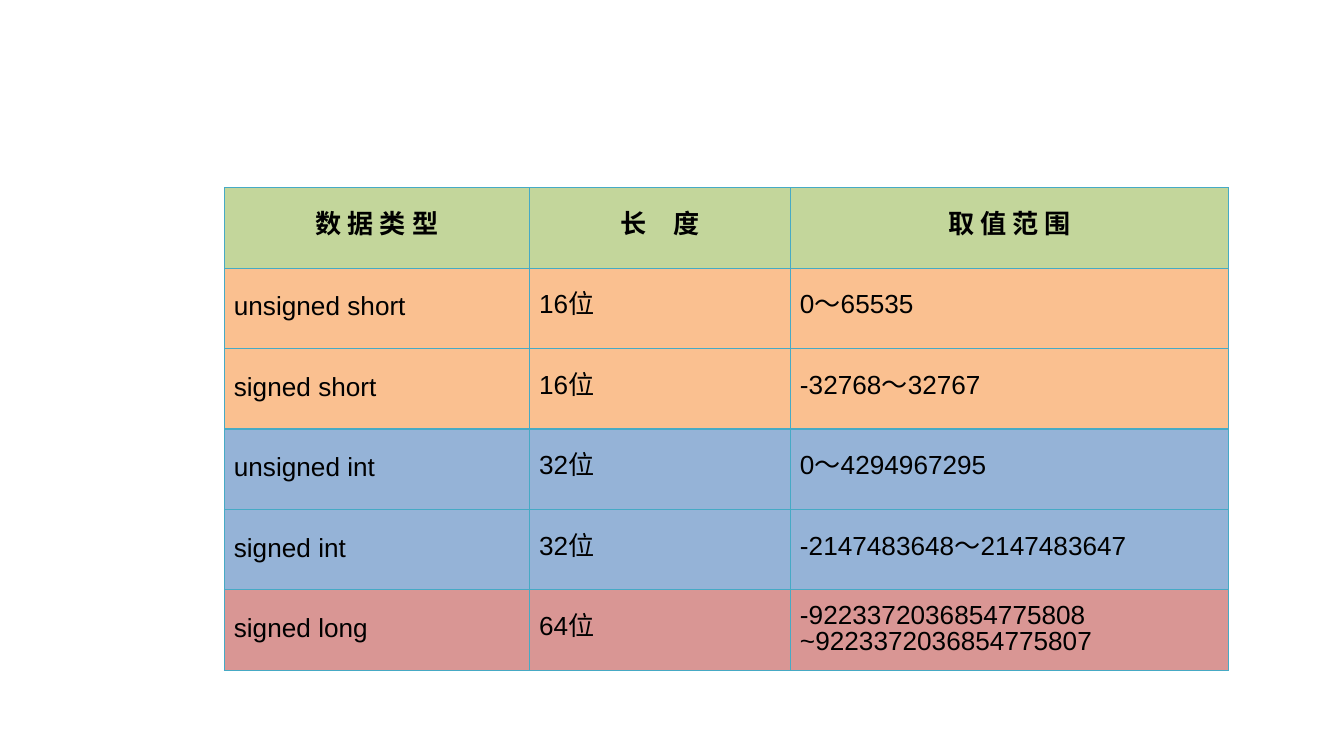
from dataclasses import dataclass

from lxml.etree import SubElement
from pptx import Presentation
from pptx.dml.color import RGBColor
from pptx.enum.text import MSO_ANCHOR, PP_ALIGN
from pptx.oxml.ns import qn
from pptx.util import Cm, Pt


@dataclass(frozen=True)
class Theme:
    """Colours, font and sizes of the slide."""
    font: str = "Arial"
    size: int = 14
    text: str = "000000"
    border: str = "46AAC5"
    border_width: float = 0.75
    header: str = "C3D69B"
    short: str = "FAC090"
    int: str = "95B3D7"
    long: str = "D99694"


THEME = Theme()
COL_WIDTHS = (5.77, 4.93, 8.28)
ROW_HEIGHT = 1.52
ROWS = (
    (THEME.header, ("数 据 类 型", "长　度", "取 值 范 围")),
    (THEME.short, ("unsigned short", "16位", "0～65535")),
    (THEME.short, ("signed short", "16位", "-32768～32767")),
    (THEME.int, ("unsigned int", "32位", "0～4294967295")),
    (THEME.int, ("signed int", "32位", "-2147483648～2147483647")),
    (THEME.long, ("signed long", "64位", "-9223372036854775808 ~9223372036854775807")),
)


def write_text(tf, text, *, bold=False, align=PP_ALIGN.JUSTIFY):
    """Write one formatted paragraph into a text frame."""
    p = tf.paragraphs[0]
    p.alignment = align
    p.line_spacing = Pt(THEME.size)
    r = p.add_run()
    r.text = text
    r.font.name = THEME.font
    r.font.size = Pt(THEME.size)
    r.font.bold = bold
    r.font.color.rgb = RGBColor.from_string(THEME.text)


def set_borders(cell):
    """Draw the theme's border on all four sides of a cell."""
    tcPr = cell._tc.get_or_add_tcPr()
    for side in ("a:lnL", "a:lnR", "a:lnT", "a:lnB"):
        ln = SubElement(tcPr, qn(side), w=str(Pt(THEME.border_width)))
        fill = SubElement(ln, qn("a:solidFill"))
        SubElement(fill, qn("a:srgbClr"), val=THEME.border)


def format_cell(cell, color):
    """Set the borders, fill, margins and anchor of a cell."""
    set_borders(cell)
    cell.fill.solid()
    cell.fill.fore_color.rgb = RGBColor.from_string(color)
    cell.margin_left = cell.margin_right = Cm(0.18)
    cell.margin_top = cell.margin_bottom = Cm(0.13)
    cell.vertical_anchor = MSO_ANCHOR.MIDDLE


def add_type_table(s):
    """Add the table of integer types."""
    table = s.shapes.add_table(
        len(ROWS), len(COL_WIDTHS), Cm(4.24), Cm(3.55),
        Cm(sum(COL_WIDTHS)), Cm(ROW_HEIGHT * len(ROWS)),
    ).table
    table.horz_banding = False
    for col, width in zip(table.columns, COL_WIDTHS):
        col.width = Cm(width)
    for i, (row, (color, texts)) in enumerate(zip(table.rows, ROWS)):
        row.height = Cm(ROW_HEIGHT)
        style = {"bold": True, "align": PP_ALIGN.CENTER} if i == 0 else {}
        for cell, text in zip(row.cells, texts):
            format_cell(cell, color)
            write_text(cell.text_frame, text, **style)


def main():
    """Build and save the slide."""
    prs = Presentation()
    prs.slide_width, prs.slide_height = Cm(25.4), Cm(14.29)
    s = prs.slides.add_slide(prs.slide_layouts[6])
    add_type_table(s)
    prs.save("out.pptx")


if __name__ == "__main__":
    main()
